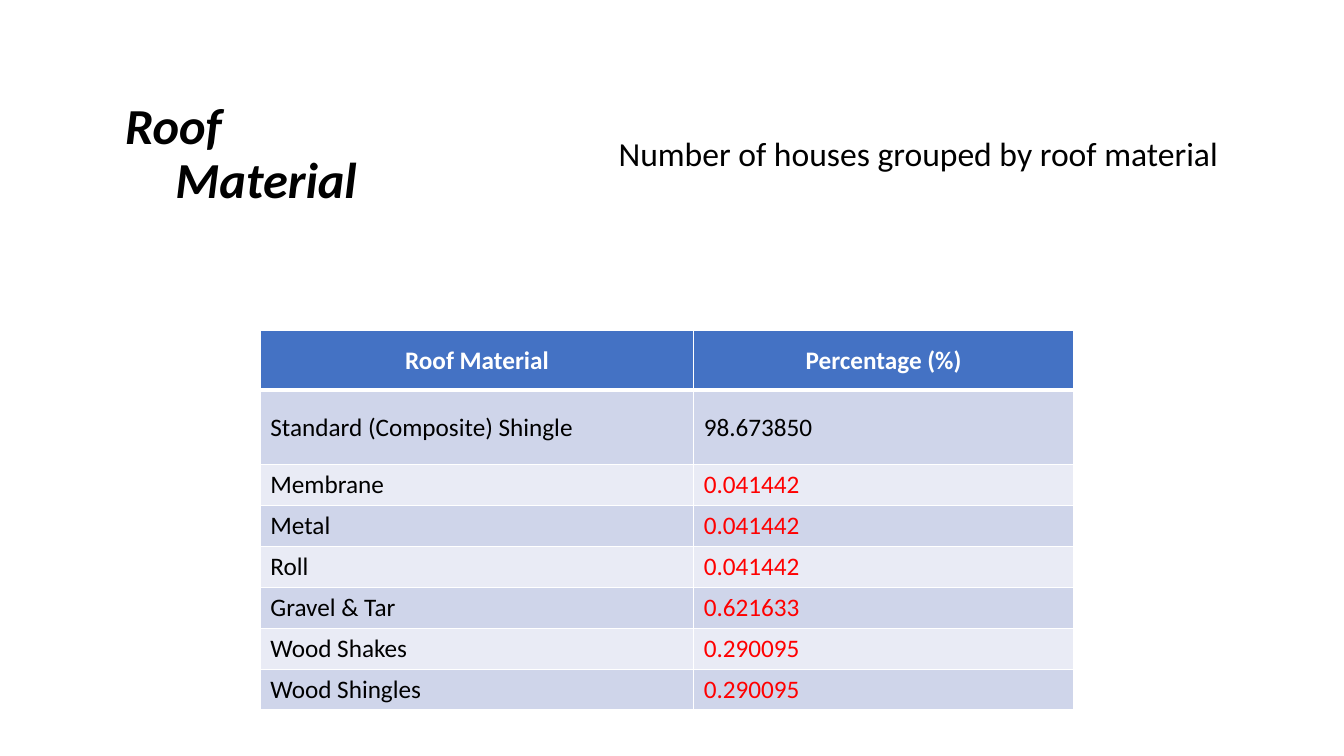
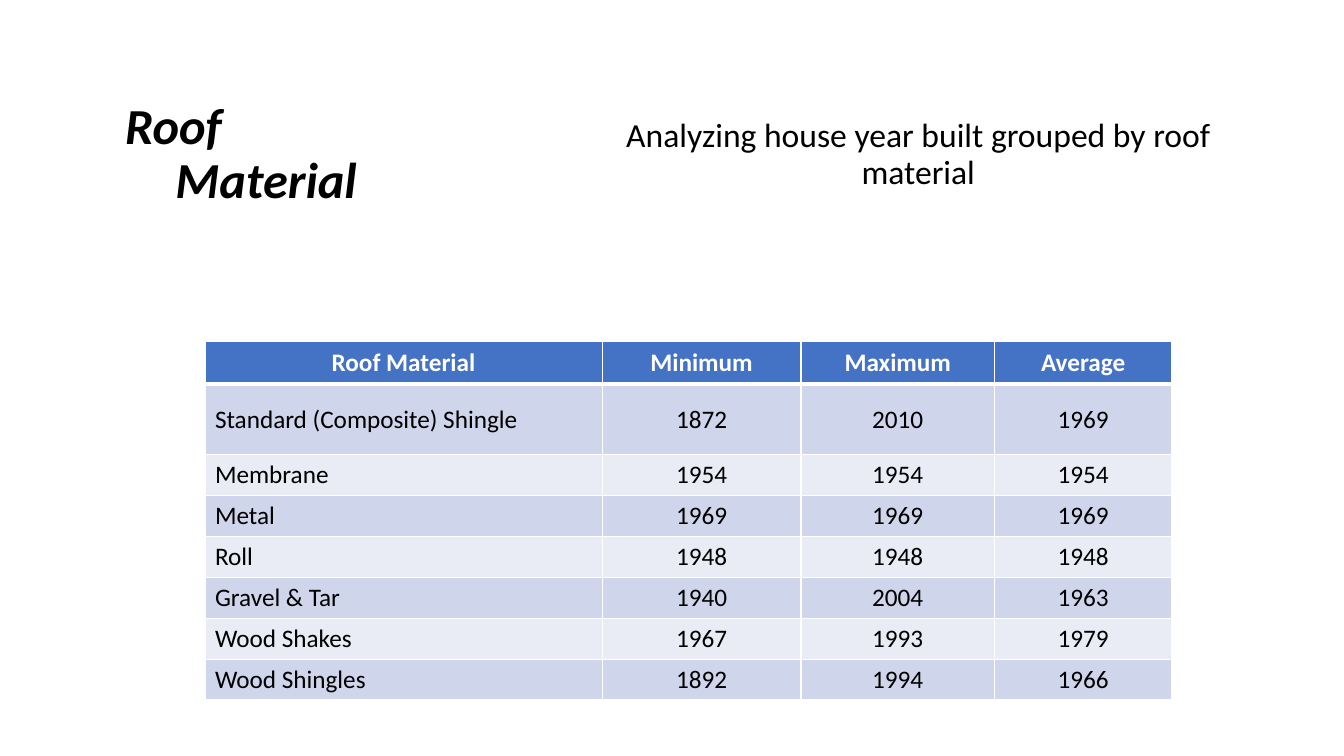
import pptx
import pptx.dml.color
import pptx.enum.text
import pptx.oxml
import pptx.oxml.ns
import pptx.util

ALIGN = pptx.enum.text.PP_ALIGN
MIDDLE = pptx.enum.text.MSO_ANCHOR.MIDDLE
BLACK, WHITE, RED = "000000", "FFFFFF", "FF0000"
HEADER_FILL = "4472C4"
BAND_FILLS = ["E9EBF5", "CFD5EA"]

deck = pptx.Presentation()
deck.slide_width = pptx.util.Inches(13.33)
deck.slide_height = pptx.util.Inches(7.5)

# The grid: one hundred columns by one hundred rows.
COLUMN = deck.slide_width / 100
ROW = deck.slide_height / 100

TITLE = "Roof\v\tMaterial"
HEADING_TOP, HEADING_HEIGHT = 9.33, 22.4
HEADINGS = [
    {"left": 8.55, "width": 29.63, "align": ALIGN.LEFT,
     "font": {"size": pptx.util.Pt(36), "bold": True, "italic": True}},
    {"left": 43.5, "width": 49.65, "align": ALIGN.CENTER,
     "font": {"size": pptx.util.Pt(24), "bold": False, "italic": False}},
]
BODY_ROW = 5.33
MATERIALS = ["Standard (Composite) Shingle", "Membrane", "Metal", "Roll",
             "Gravel & Tar", "Wood Shakes", "Wood Shingles"]

PAGES = [
    {"subtitle": "Number of houses grouped by roof material",
     "left": 19.37, "top": 43.75, "columns": [32.25, 28.25],
     "first_rows": [7.87, 9.87], "value_align": ALIGN.LEFT,
     "headers": ["Percentage (%)"],
     "values": [["98.673850"], ["0.041442"], ["0.041442"], ["0.041442"],
                ["0.621633"], ["0.290095"], ["0.290095"]],
     "rare_color": RED},
    {"subtitle": "Analyzing house year built grouped by roof material",
     "left": 15.25, "top": 45.1, "columns": [29.55, 14.8, 14.4, 13.2],
     "first_rows": [5.73, 9.33], "value_align": ALIGN.CENTER,
     "headers": ["Minimum", "Maximum", "Average"],
     "values": [["1872", "2010", "1969"], ["1954", "1954", "1954"],
                ["1969", "1969", "1969"], ["1948", "1948", "1948"],
                ["1940", "2004", "1963"], ["1967", "1993", "1979"],
                ["1892", "1994", "1966"]],
     "rare_color": BLACK},
]


def paint(target, color, **formats):
    """Color a fill or font after setting its other format values."""
    for name, value in formats.items():
        setattr(target, name, value)
    if hasattr(target, "solid"):
        target.solid()
        target = target.fore_color
    else:
        target = target.color
    target.rgb = pptx.dml.color.RGBColor.from_string(color)


def add_borders(cell, points):
    """Draw white cell edges; points maps each side to a line width."""
    properties = cell._tc.get_or_add_tcPr()
    for side, width in points.items():
        properties.append(pptx.oxml.parse_xml(
            f'<a:ln{side} {pptx.oxml.ns.nsdecls("a")} w="{pptx.util.Pt(width)}">'
            f'<a:solidFill><a:srgbClr val="{WHITE}"/></a:solidFill></a:ln{side}>'))


for content in PAGES:
    page = deck.slides.add_slide(deck.slide_layouts[1])

    texts = [TITLE, content["subtitle"]]
    for box, text, heading in zip(page.placeholders, texts, HEADINGS):
        box.left, box.width = int(heading["left"] * COLUMN), int(heading["width"] * COLUMN)
        box.top, box.height = int(HEADING_TOP * ROW), int(HEADING_HEIGHT * ROW)
        frame = box.text_frame
        frame.word_wrap = True
        frame.auto_size = pptx.enum.text.MSO_AUTO_SIZE.NONE
        frame.vertical_anchor = MIDDLE
        para = frame.paragraphs[0]
        para.text = text
        para.alignment = heading["align"]
        para.line_spacing = 0.9
        para.space_before = pptx.util.Pt(0)
        properties = para._p.get_or_add_pPr()
        properties.set("marL", "0")
        properties.set("indent", "0")
        properties.append(pptx.oxml.parse_xml(
            f'<a:buNone {pptx.oxml.ns.nsdecls("a")}/>'))
        for span in para.runs:
            paint(span.font, BLACK, name="Calibri", **heading["font"])

    rows = [["Roof Material"] + content["headers"]]
    rows += [[material] + values
             for material, values in zip(MATERIALS, content["values"])]
    heights = content["first_rows"] + [BODY_ROW] * (len(rows) - 2)
    widths = content["columns"]
    table = page.shapes.add_table(
        len(rows), len(widths),
        int(content["left"] * COLUMN), int(content["top"] * ROW),
        int(sum(widths) * COLUMN), int(sum(heights) * ROW)).table
    for column, width in zip(table.columns, widths):
        column.width = int(width * COLUMN)

    for r, (height, texts) in enumerate(zip(heights, rows)):
        table.rows[r].height = int(height * ROW)
        is_header = r == 0
        for c, text in enumerate(texts):
            cell = table.cell(r, c)
            add_borders(cell, {"L": 1, "R": 1, "T": 3 if r == 1 else 1,
                               "B": 3 if is_header else 1})
            paint(cell.fill, HEADER_FILL if is_header else BAND_FILLS[r % 2])
            cell.vertical_anchor = MIDDLE
            para = cell.text_frame.paragraphs[0]
            span = para.add_run()
            span.text = text
            if is_header:
                color, para.alignment = WHITE, ALIGN.CENTER
            else:
                color = content["rare_color"] if r > 1 and c > 0 else BLACK
                para.alignment = content["value_align"] if c > 0 else ALIGN.LEFT
            paint(span.font, color, name="Calibri",
                  size=pptx.util.Pt(18), bold=is_header)

deck.save("out.pptx")
